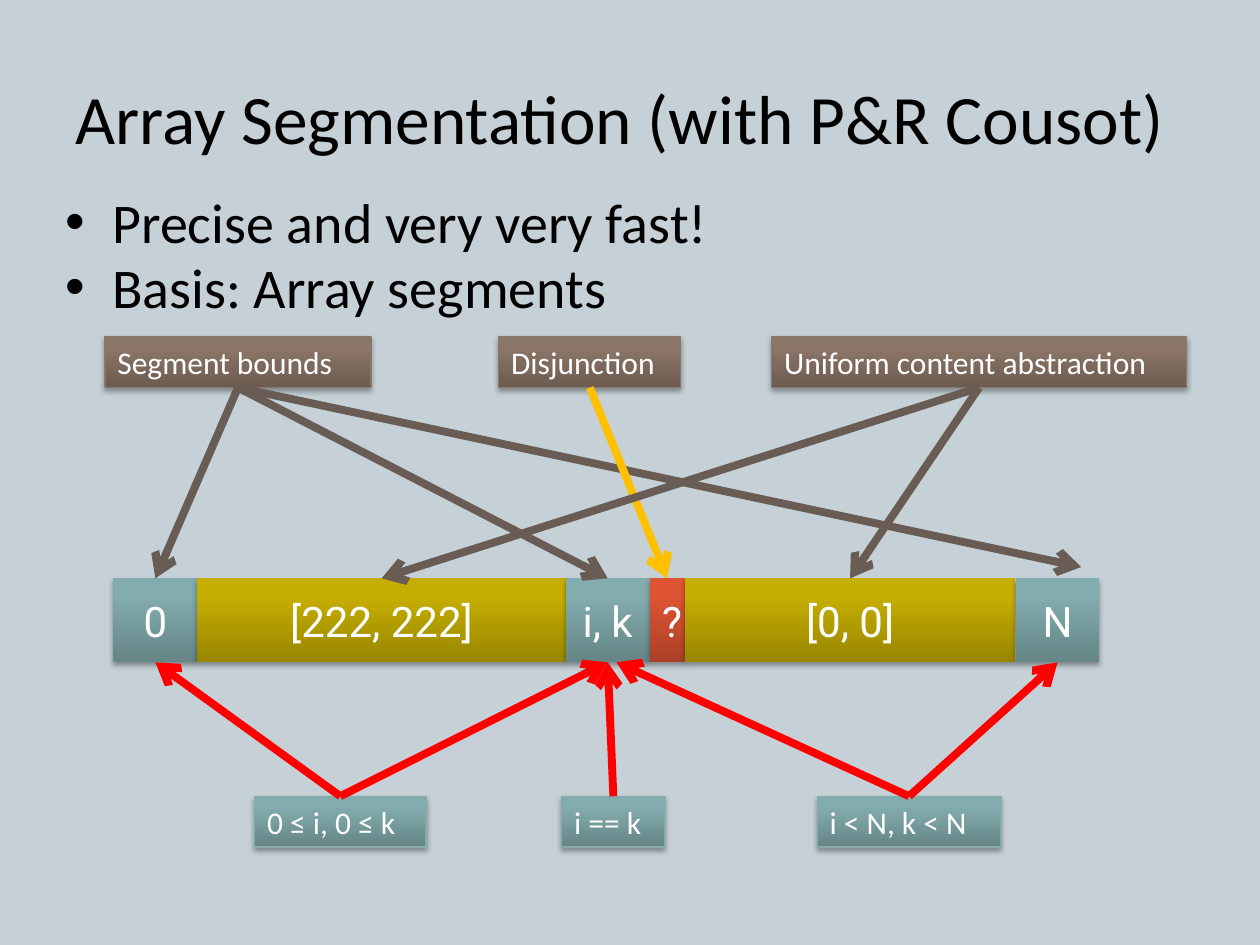
from lxml.etree import SubElement
from pptx import Presentation
from pptx.dml.color import RGBColor
from pptx.enum.shapes import MSO_CONNECTOR as Connector, MSO_SHAPE as Shape
from pptx.enum.text import MSO_ANCHOR as Anchor, MSO_AUTO_SIZE as AutoSize, PP_ALIGN as Align
from pptx.oxml.ns import qn
from pptx.util import Pt

TITLE = "Array Segmentation (with P&R Cousot)"
BULLETS = ["Precise and very very fast!", "Basis: Array segments"]

TEAL = ("658586", "83ACAE")
OLIVE = ("988600", "C6AE00")
RUST = ("AB4027", "DE5433")
BROWN = ("6C5B50", "8C7668")

SEGMENTS = [
    ("0", 48, TEAL),
    ("[222, 222]", 210.5, OLIVE),
    ("i, k", 48, TEAL),
    ("?", 20, RUST),
    ("[0, 0]", 189, OLIVE),
    ("N", 48, TEAL),
]
ARRAY_LEFT, ARRAY_TOP, ARRAY_HEIGHT = 64.8, 330.5, 48
LABEL_HEIGHT = 29

CONCEPTS = [
    ("Segment bounds", 60, 152, "695C54", [("0", 0, 0), ("i, k", 0, 0), ("N", 13.5, -6.5)]),
    ("Disjunction", 285, 104, "FFC000", [("?", 0, 0)]),
    ("Uniform content abstraction", 441, 237, "695C54", [("[222, 222]", 0, 0), ("[0, 0]", 0, 0)]),
]
CONDITIONS = [
    ("0 ≤ i, 0 ≤ k", 145.5, 98, "FF0000", [("0", 0, 0), ("i, k", 0, 0)]),
    ("i == k", 321, 59, "FF0000", [("i, k", 0, 0)]),
    ("i < N, k < N", 467, 105, "FF0000", [("i, k", 5, 0), ("N", 0, 0)]),
]
LABEL_ROWS = [
    (CONCEPTS, 192.5, BROWN, "8A786D", LABEL_HEIGHT, ARRAY_TOP),
    (CONDITIONS, 455, TEAL, "88AAAB", 0, ARRAY_TOP + ARRAY_HEIGHT),
]


def color(value):
    return RGBColor.from_string(value)


def write(para, text, size, font, tint):
    span = para.add_run()
    span.text = text
    span.font.size = Pt(size)
    span.font.name = font
    span.font.color.rgb = color(tint)


def add_shadow(box):
    box.shadow.inherit = False
    effects = box._element.spPr.find(qn("a:effectLst"))
    outer = SubElement(effects, qn("a:outerShdw"), blurRad=str(Pt(3.1)),
                       dist=str(Pt(1.8)), dir="5400000", rotWithShape="0")
    tint = SubElement(outer, qn("a:srgbClr"), val="000000")
    SubElement(tint, qn("a:alpha"), val="35000")


def add_box(page, text, place, shades, size, font, align, outline=None):
    box = page.shapes.add_shape(Shape.RECTANGLE, *map(Pt, place))
    box.fill.gradient()
    box.fill.gradient_angle = 90
    for stop, shade, position in zip(box.fill.gradient_stops, shades, (0, 0.8)):
        stop.color.rgb = color(shade)
        stop.position = position
    if outline:
        box.line.color.rgb = color(outline)
        box.line.width = Pt(0.75)
    else:
        box.line.fill.background()
    add_shadow(box)
    frame = box.text_frame
    frame.word_wrap = True
    frame.vertical_anchor = Anchor.MIDDLE
    frame.paragraphs[0].alignment = align
    write(frame.paragraphs[0], text, size, font, "FFFFFF")


def add_arrow(page, start, end, tint):
    arrow = page.shapes.add_connector(Connector.STRAIGHT, *map(Pt, start + end))
    arrow.line.color.rgb = color(tint)
    arrow.line.width = Pt(4.5)
    SubElement(arrow.line._get_or_add_ln(), qn("a:tailEnd"), type="arrow")
    SubElement(arrow._element.spPr, qn("a:effectLst"))


def place_text(holder, place, lines, size):
    holder.left, holder.top, holder.width, holder.height = map(Pt, place)
    frame = holder.text_frame
    frame.auto_size = AutoSize.NONE
    for index, line in enumerate(lines):
        para = frame.add_paragraph() if index else frame.paragraphs[0]
        para.alignment = Align.LEFT
        write(para, line, size, "Calibri", "000000")
    return frame


def add_segments(page):
    centers, left = {}, ARRAY_LEFT
    for text, width, shades in SEGMENTS:
        add_box(page, text, (left, ARRAY_TOP, width, ARRAY_HEIGHT), shades, 24, "Roboto", Align.CENTER)
        centers[text] = left + width / 2
        left += width
    return centers


def main():
    """Build the array segmentation slide."""
    deck = Presentation()
    deck.slide_width, deck.slide_height = Pt(720), Pt(540)
    page = deck.slides.add_slide(deck.slide_layouts[1])
    page.background.fill.solid()
    page.background.fill.fore_color.rgb = color("C5D1D7")

    place_text(page.shapes.title, (36, 21.6, 648, 90), [TITLE], 39.6)
    body = place_text(page.placeholders[1], (30, 111, 660, 78), BULLETS, 32)
    for para in body.paragraphs:
        para.line_spacing = 0.8
        para.space_before = Pt(6.4)

    centers = add_segments(page)
    for labels, top, shades, outline, exit_offset, target_y in LABEL_ROWS:
        for text, left, width, tint, targets in labels:
            add_box(page, text, (left, top, width, LABEL_HEIGHT), shades, 18, "Calibri", Align.LEFT, outline)
            start = (left + width / 2, top + exit_offset)
            for target, shift_x, shift_y in targets:
                add_arrow(page, start, (centers[target] + shift_x, target_y + shift_y), tint)

    deck.save("out.pptx")


if __name__ == "__main__":
    main()
